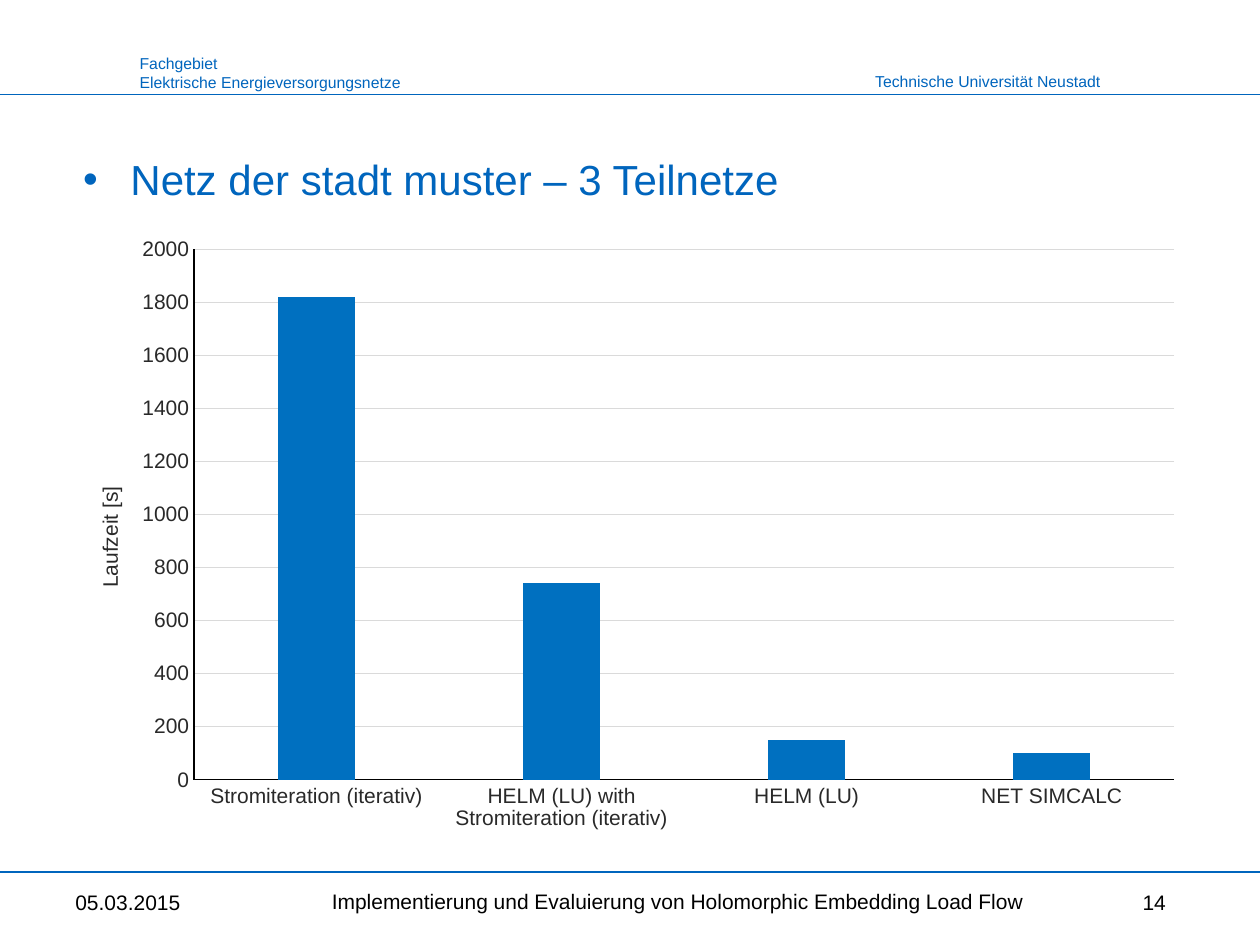
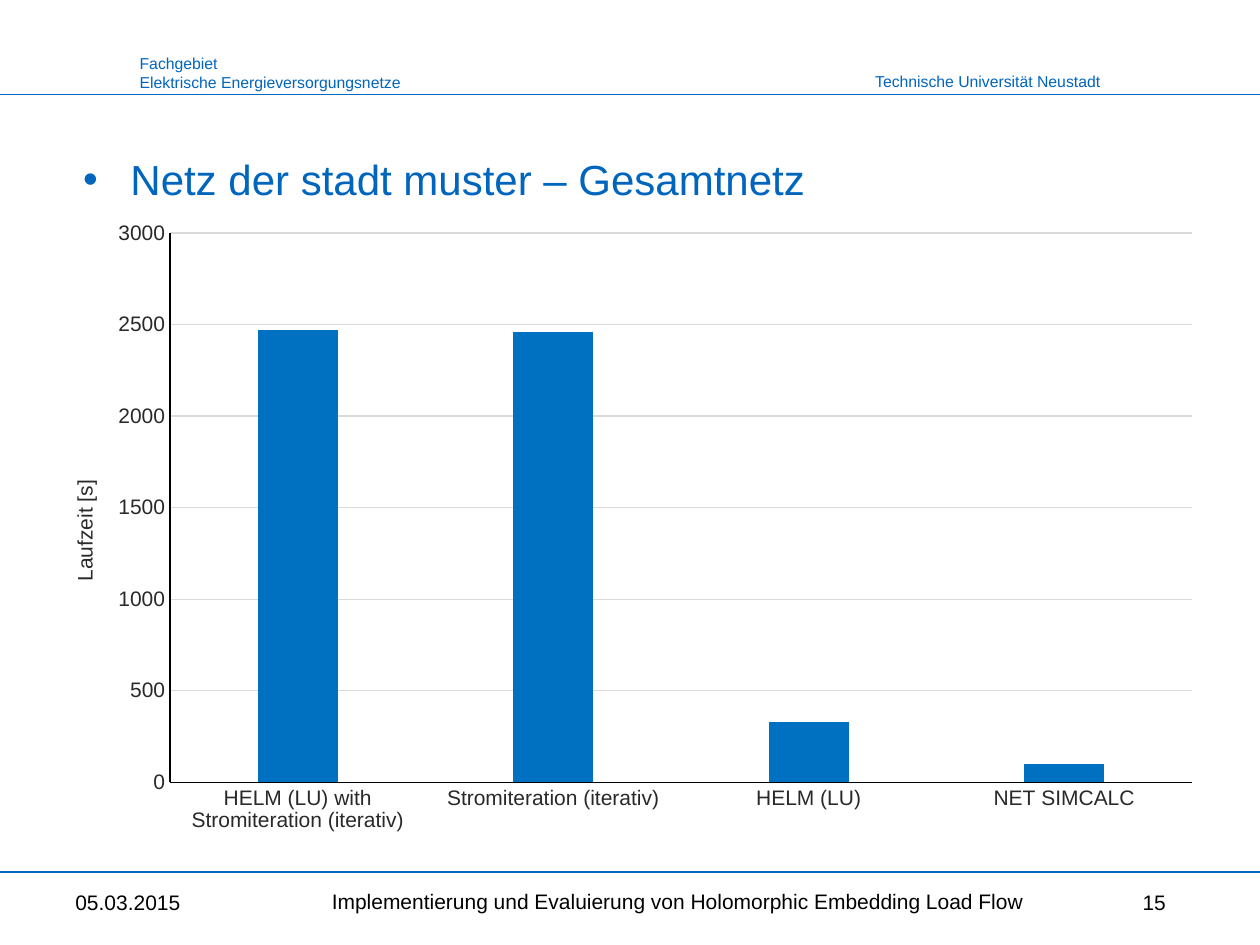
from lxml import etree
from pptx import Presentation
from pptx.chart.data import CategoryChartData
from pptx.dml.color import RGBColor
from pptx.enum.chart import XL_CHART_TYPE as ChartType, XL_TICK_MARK as TickMark
from pptx.enum.shapes import MSO_CONNECTOR as Connector
from pptx.enum.text import MSO_ANCHOR as Anchor, MSO_AUTO_SIZE as AutoSize, PP_ALIGN as Align
from pptx.oxml import parse_xml
from pptx.oxml.ns import nsdecls, qn
from pptx.util import Inches, Pt

FONT = "Arial"
BLUE, BAR, BLACK, GREY, GRID = "0065BD", "0070C0", "000000", "292929", "DADADA"
WIDTH, HEIGHT = 10, 7.5
HEADER_LINE, FOOTER_LINE = 0.75, 6.92
DATE = "05.03.2015"
TALK = "Implementierung und Evaluierung von Holomorphic Embedding Load Flow"
ITERATION, HELM, TOOL = "Stromiteration (iterativ)", "HELM (LU)", "NET SIMCALC"
MIXED = "HELM (LU) with Stromiteration (iterativ)"

PAGES = [
    {
        "number": 14, "title": "Netz der stadt muster – 3 Teilnetze",
        "runtimes": {ITERATION: 1820, MIXED: 740, HELM: 150, TOOL: 100},
        "box": (0.5, 1.8, 9, 4.89), "plot": (1.04, 0.18, 7.78, 4.21),
        "label": (0.24, 2.03), "maximum": 2000, "step": 200,
    },
    {
        "number": 15, "title": "Netz der stadt muster – Gesamtnetz",
        "runtimes": {MIXED: 2470, ITERATION: 2460, HELM: 330, TOOL: 100},
        "box": (0.3, 1.67, 9.35, 5.04), "plot": (1.05, 0.18, 8.11, 4.36),
        "label": (0.24, 2.11), "maximum": 3000, "step": 500,
    },
]


def colour(value):
    """Turn a hex string into a colour."""
    return RGBColor.from_string(value)


def style_font(font, size, value):
    """Set family, size and colour of a font."""
    font.name, font.size, font.bold = FONT, Pt(size), False
    font.color.rgb = colour(value)


def style_line(line, value):
    """Give a line its colour and the common width."""
    line.color.rgb = colour(value)
    line.width = Pt(0.75)


def add_text(page, box, text, size, value, align=Align.LEFT, wrap=True):
    """Add a text box with one uniform text style."""
    label = page.shapes.add_textbox(*map(Inches, box))
    frame = label.text_frame
    frame.word_wrap = wrap
    frame.text = text
    for para in frame.paragraphs:
        para.alignment = align
        for span in para.runs:
            style_font(span.font, size, value)
    return label


def add_rule(page, top):
    """Add a horizontal line across the whole page."""
    rule = page.shapes.add_connector(
        Connector.STRAIGHT, 0, Inches(top), Inches(WIDTH), Inches(top))
    style_line(rule.line, BLUE)
    etree.SubElement(rule.element.spPr, qn("a:effectLst"))
    return rule


def build_frame(page, layout):
    """Build the header and both rules and place them on the layout."""
    parts = [
        add_text(page, (6.8, 0.52, 2.03, 0.25), "Technische Universität Neustadt",
                 9, BLUE, Align.RIGHT, wrap=False),
        add_rule(page, HEADER_LINE),
        add_rule(page, FOOTER_LINE),
        add_text(page, (1.01, 0.38, 2.32, 0.4),
                 "Fachgebiet\nElektrische Energieversorgungsnetze", 9, BLUE, wrap=False),
    ]
    for part in parts:
        layout.shapes.element.append(part.element)


def add_title(page, text):
    """Fill the title placeholder as a bulleted heading."""
    title = page.shapes.title
    title.left, title.top, title.width, title.height = map(Inches, (0.56, 1, 8.89, 0.67))
    frame = title.text_frame
    frame.text = text
    frame.auto_size = AutoSize.NONE
    frame.vertical_anchor = Anchor.BOTTOM
    para = frame.paragraphs[0]
    para.alignment = Align.LEFT
    style_font(para.runs[0].font, 24, BLUE)
    props = para._p.get_or_add_pPr()
    props.set("marL", str(Inches(0.375)))
    props.set("indent", str(-Inches(0.375)))
    etree.SubElement(props, qn("a:buFont"), typeface=FONT)
    etree.SubElement(props, qn("a:buChar"), char="•")


def add_footer(page, number):
    """Add date, page number and talk title below the lower rule."""
    add_text(page, (0.5, 7.01, 1.3, 0.34), DATE, 12, BLACK)
    add_text(page, (8.97, 7.01, 0.53, 0.34), str(number), 12, BLACK)
    add_text(page, (1.92, 7, 6.92, 0.33), TALK, 12, BLACK, Align.CENTER)


def manual_layout(box, place, inner=False):
    """Return a chart layout for a place given in inches inside the box."""
    target = '<c:layoutTarget val="inner"/>' if inner else ""
    modes = "".join(f'<c:{side}Mode val="edge"/>' for side in "xy")
    sizes = "".join(f'<c:{side} val="{length / box[2 + index % 2]:.4f}"/>'
                    for index, (side, length) in enumerate(zip("xywh", place)))
    return parse_xml(f'<c:layout {nsdecls("c")}><c:manualLayout>{target}{modes}{sizes}'
                     '</c:manualLayout></c:layout>')


def set_layout(parent, layout, index):
    """Replace the layout of a chart part."""
    for old in parent.findall(qn("c:layout")):
        parent.remove(old)
    parent.insert(index, layout)


def add_runtime_chart(page, box, runtimes, plot, label, maximum, step):
    """Add the column chart of runtimes inside the box."""
    data = CategoryChartData()
    data.categories = list(runtimes)
    data.add_series("Series 1", list(runtimes.values()))
    chart = page.shapes.add_chart(
        ChartType.COLUMN_CLUSTERED, *map(Inches, box), data).chart
    chart.has_legend = chart.has_title = False
    style_font(chart.font, 12, GREY)

    columns = chart.plots[0]
    columns.gap_width, columns.overlap = 219, -27
    columns.vary_by_categories = False
    fill = columns.series[0].format.fill
    fill.solid()
    fill.fore_color.rgb = colour(BAR)

    for axis in (chart.category_axis, chart.value_axis):
        axis.major_tick_mark = axis.minor_tick_mark = TickMark.NONE
        style_font(axis.tick_labels.font, 12, GREY)
        style_line(axis.format.line, BLACK)

    values = chart.value_axis
    values.minimum_scale, values.maximum_scale, values.major_unit = 0, maximum, step
    values.has_major_gridlines = True
    style_line(values.major_gridlines.format.line, GRID)
    frame = values.axis_title.text_frame
    frame.text = "Laufzeit [s]"
    style_font(frame.paragraphs[0].runs[0].font, 12, GREY)
    frame._txBody.find(qn("a:bodyPr")).set("rot", "-5400000")

    set_layout(values.axis_title._element, manual_layout(box, label), 1)
    plot_area = columns._element.getparent()
    set_layout(plot_area, manual_layout(box, plot, inner=True), 0)


def build_chart_page(page, number, title, box, **chart):
    """Build one page with heading, footer and runtime chart."""
    add_title(page, title)
    add_footer(page, number)
    add_runtime_chart(page, box, **chart)


def main():
    """Build and save the deck."""
    deck = Presentation()
    deck.slide_width, deck.slide_height = Inches(WIDTH), Inches(HEIGHT)
    layout = deck.slide_layouts.get_by_name("Title Only")
    pages = [deck.slides.add_slide(layout) for _ in PAGES]
    build_frame(pages[0], layout)
    for page, content in zip(pages, PAGES):
        build_chart_page(page, **content)
    deck.save("out.pptx")


if __name__ == "__main__":
    main()
